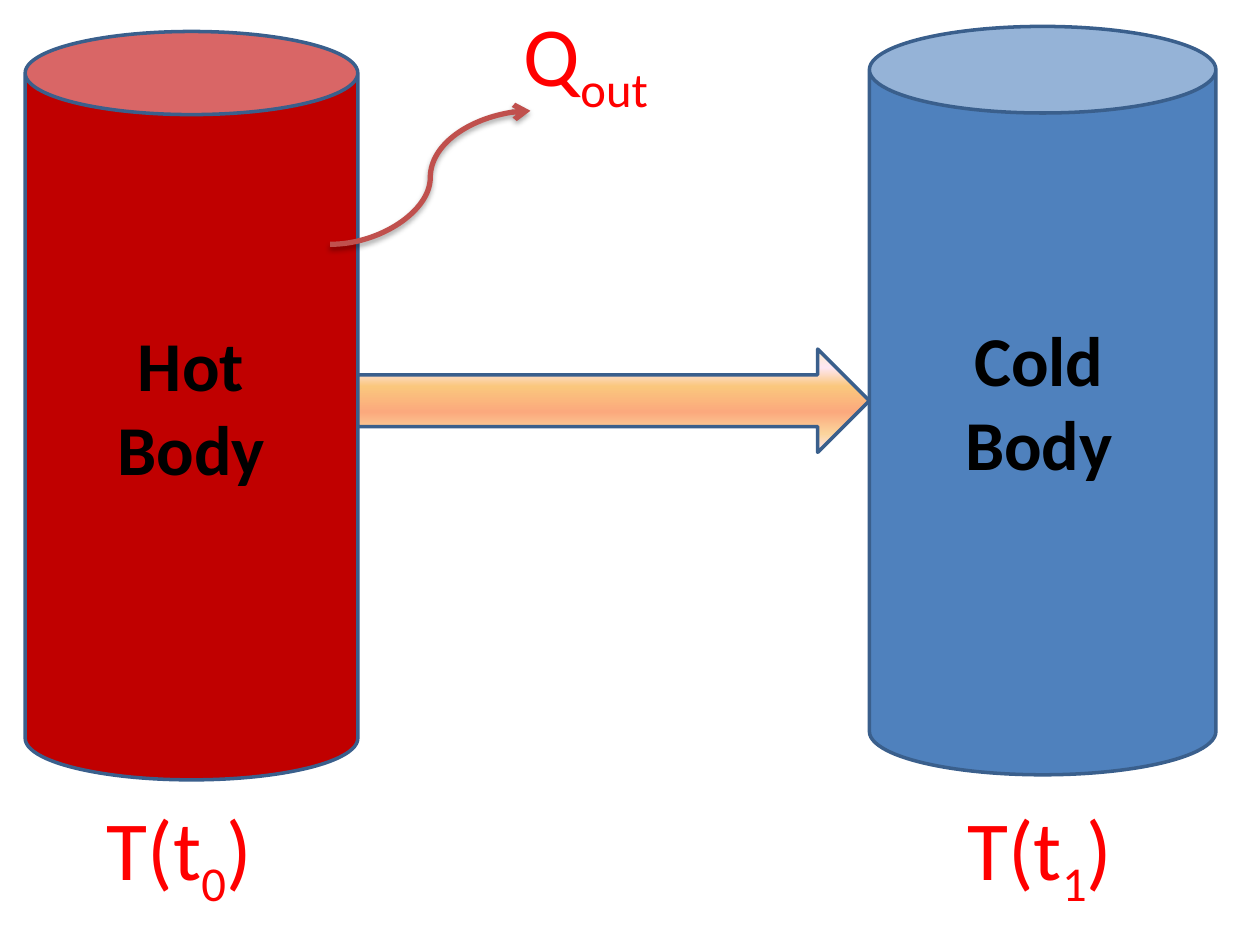
import pptx
import pptx.dml.color
import pptx.enum.shapes
import pptx.enum.text
import pptx.oxml
import pptx.oxml.ns
import pptx.util
from pptx.util import Inches

SHAPES = pptx.enum.shapes.MSO_SHAPE
qn = pptx.oxml.ns.qn
OUTLINE = "3A5F8C"
RED = "FF0000"
FLOW_STOPS = [(0, "FBEAC7"), (18, "FEE7F2"), (36, "FAC77D"),
              (61, "FBA97D"), (82, "FBD49C"), (100, "FEE7F2")]


def rgb(value):
    return pptx.dml.color.RGBColor.from_string(value)


def xml(text):
    return pptx.oxml.parse_xml(text.replace(">", " " + pptx.oxml.ns.nsdecls("a") + ">", 1))


def add_outlined(s, kind, x, y, w, h):
    sp = s.shapes.add_shape(kind, Inches(x), Inches(y), Inches(w), Inches(h))
    sp.shadow.inherit = False
    sp.line.color.rgb = rgb(OUTLINE)
    sp.line.width = pptx.util.Pt(2)
    return sp


def add_body(s, x, y, w, color):
    sp = add_outlined(s, SHAPES.CAN, x, y, w, 5.94)
    sp.fill.solid()
    sp.fill.fore_color.rgb = rgb(color)


def add_flow_arrow(s):
    sp = add_outlined(s, SHAPES.RIGHT_ARROW, 2.84, 2.77, 4.06, 0.82)
    sp.fill.gradient()
    sp.fill.gradient_angle = 270
    stops = sp._element.spPr.find(qn("a:gradFill")).find(qn("a:gsLst"))
    for stop in list(stops):
        stops.remove(stop)
    for pos, color in FLOW_STOPS:
        stops.append(xml(f'<a:gs pos="{pos * 1000}"><a:srgbClr val="{color}"/></a:gs>'))


def add_text_box(s, x, y, w, h, wrap=False):
    tf = s.shapes.add_textbox(Inches(x), Inches(y), Inches(w), Inches(h)).text_frame
    tf.word_wrap = wrap
    tf.auto_size = pptx.enum.text.MSO_AUTO_SIZE.SHAPE_TO_FIT_TEXT
    return tf


def set_font(p, size, color, bold=False):
    p.font.name = "Calibri"
    p.font.size = pptx.util.Pt(size)
    p.font.color.rgb = rgb(color)
    p.font.bold = bold


def add_symbol(s, x, y, w, base, sub, end="", wrap=False):
    p = add_text_box(s, x, y, w, 0.91, wrap).paragraphs[0]
    p.add_run().text = base
    r = p.add_run()
    r.text = sub
    r._r.get_or_add_rPr().set("baseline", "-25000")
    if end:
        p.add_run().text = end
    set_font(p, 48, RED)


def add_name(s, x, y, lines):
    tf = add_text_box(s, x, y, 1.39, 1.45)
    tf.text = "\n".join(lines)
    for p in tf.paragraphs:
        p.alignment = pptx.enum.text.PP_ALIGN.CENTER
        set_font(p, 40, "000000", True)


def add_heat_loss(s):
    line = s.shapes.add_connector(pptx.enum.shapes.MSO_CONNECTOR.CURVE,
                                  Inches(2.62), Inches(1.94), Inches(4.21), Inches(0.88))
    line.line.color.rgb = rgb("C0504D")
    line.line.width = pptx.util.Pt(3)
    line.line._get_or_add_ln().append(xml('<a:tailEnd type="arrow"></a:tailEnd>'))
    line._element.spPr.append(xml(
        '<a:effectLst><a:outerShdw blurRad="40000" dist="23000" dir="5400000" rotWithShape="0">'
        '<a:srgbClr val="000000"><a:alpha val="35000"/></a:srgbClr></a:outerShdw></a:effectLst>'))


def main():
    prs = pptx.Presentation()
    prs.slide_width, prs.slide_height = Inches(10), Inches(7.5)
    s = prs.slides.add_slide(prs.slide_layouts[6])
    add_body(s, 0.2, 0.25, 2.64, "C00000")
    add_body(s, 6.9, 0.21, 2.75, "4F81BD")
    add_flow_arrow(s)
    add_symbol(s, 4.06, -0.03, 1.28, "Q", "out")
    add_symbol(s, 0.75, 6.27, 1.39, "T(t", "0", ")")
    add_symbol(s, 7.58, 6.27, 1.51, "T(t", "1", ")", wrap=True)
    add_heat_loss(s)
    add_name(s, 0.82, 2.5, ["Hot", "Body"])
    add_name(s, 7.55, 2.46, ["Cold", "Body"])
    prs.save("out.pptx")


if __name__ == "__main__":
    main()
